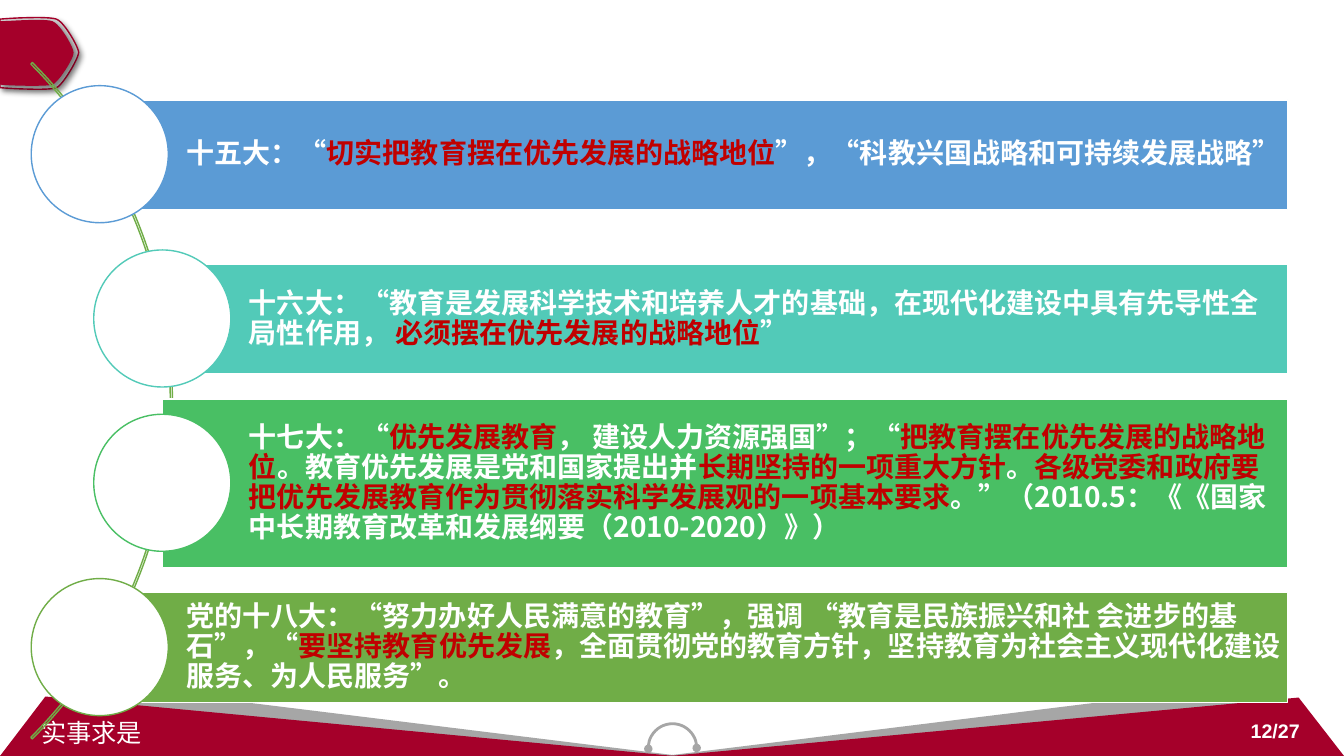
from dataclasses import dataclass
from lxml.etree import SubElement as Sub
from pptx import Presentation
from pptx.dml.color import RGBColor
from pptx.enum.lang import MSO_LANGUAGE_ID as Lang
from pptx.enum.shapes import MSO_SHAPE as Kind
from pptx.enum.text import MSO_ANCHOR as Anchor, PP_ALIGN as Align
from pptx.oxml.ns import qn
from pptx.util import Pt

PX = 9144  # EMU per px, 100 px to the inch
FONT = "Noto Sans CJK SC"
WHITE, RED, WINE, GREY, GREEN = "FFFFFF", "C00000", "A5002A", "A6A6A6", "70AD47"
Point = tuple[int, int]


@dataclass
class Item:
    color: str
    left: int  # left edge of the circle
    high: int  # height of the bar
    text: str  # every second part between | is red


@dataclass
class Tab:
    fill: str
    line: str | None
    start: Point
    curves: list[tuple[Point, Point, Point]]


@dataclass
class Wedge:
    color: str
    points: list[Point]


ITEMS = [
    Item("5B9BD5", 31, 109,
         "十五大：“|切实把教育摆在优先发展的战略地位|”，“科教兴国战略和可持续发展战略”"),
    Item("52CAB8", 93, 109,
         "十六大：“教育是发展科学技术和培养人才的基础，在现代化建设中具有先导性全局性作用， "
         "|必须摆在优先发展的战略地位|”"),
    Item("49BF64", 93, 167,
         "十七大：“|优先发展教育|， 建设人力资源强国”；“|把教育摆在优先发展的战略地位|"
         "。教育优先发展是党和国家提出并|长期坚持的一项重大方针|。|"
         "各级党委和政府要把优先发展教育作为贯彻落实科学发展观的一项基本要求|"
         "。”（2010.5：《《国家中长期教育改革和发展纲要（2010-2020）》）"),
    Item(GREEN, 31, 109,
         "党的十八大：“努力办好人民满意的教育”，强调 “教育是民族振兴和社 会进步的基石”，“"
         "|要坚持教育优先发展|，全面贯彻党的教育方针，坚持教育为社会主义现代化建设服务、为人民服务”。"),
]
TABS = [
    Tab("D0D0D0", WINE, (0, 19), [
        ((11, 18), (47, 16), (56, 19)), ((64, 22), (78, 47), (78, 52)),
        ((78, 58), (62, 85), (56, 87)), ((50, 90), (11, 88), (0, 87))]),
    Tab(WINE, None, (0, 21), [
        ((10, 21), (44, 18), (52, 21)), ((60, 24), (73, 47), (73, 52)),
        ((74, 57), (58, 82), (52, 84)), ((46, 86), (10, 85), (0, 84))]),
]
BACK = [
    Wedge(GREY, [(1333, 750), (1250, 677), (659, 750)]),
    Wedge(GREY, [(0, 750), (83, 677), (675, 750)]),
    Wedge(WINE, [(1333, 750), (1288, 692), (664, 750)]),
]
FRONT = Wedge(WINE, [(0, 750), (45, 691), (669, 750)])

deck = Presentation()
deck.slide_width, deck.slide_height = 1333 * PX, 750 * PX
slide = deck.slides.add_slide(deck.slide_layouts[6])
shapes = slide.shapes


def rgb(color: str) -> RGBColor:
    return RGBColor.from_string(color)


def paint(shape, fill: str | None, line: str | None, width: float = 1):
    shape.shadow.inherit = False
    if fill:
        shape.fill.solid()
        shape.fill.fore_color.rgb = rgb(fill)
    else:
        shape.fill.background()
    if line:
        shape.line.color.rgb = rgb(line)
        shape.line.width = Pt(width)
    else:
        shape.line.fill.background()
    return shape


def add(kind, box: tuple[int, int, int, int], fill, line, width: float = 1):
    return paint(shapes.add_shape(kind, *(v * PX for v in box)), fill, line, width)


def outline(points: list, fill: str, line: str | None = None):
    first, *rest = [(x * PX, y * PX) for x, y in points]
    pen = shapes.build_freeform(*first)
    pen.add_line_segments(rest, close=True)
    return paint(pen.convert_to_shape(), fill, line)


def bend(a: Point, b: Point, c: Point, d: Point, steps: int = 12) -> list:
    ts = [n / steps for n in range(1, steps + 1)]
    return [tuple((1 - t) ** 3 * p + 3 * t * (1 - t) ** 2 * q
                  + 3 * t * t * (1 - t) * r + t ** 3 * s
                  for p, q, r, s in zip(a, b, c, d)) for t in ts]


def shade(shape) -> None:
    effects = shape._element.spPr.find(qn("a:effectLst"))
    outer = Sub(effects, qn("a:outerShdw"), blurRad=str(Pt(4)), dist=str(Pt(3)),
                dir="2700000", algn="tl", rotWithShape="0")
    black = Sub(outer, qn("a:srgbClr"), val="000000")
    Sub(black, qn("a:alpha"), val="40000")


def style(run, size: int, color: str, bold: bool, name: str = FONT) -> None:
    font = run.font
    font.size, font.bold, font.name = Pt(size), bold, name
    font.color.rgb = rgb(color)
    font.language_id = Lang.SIMPLIFIED_CHINESE
    east = Sub(font._element, qn("a:ea"), typeface=name)
    font._element.find(qn("a:latin")).addnext(east)


def label(box: tuple[int, int, int, int], text: str, size: int, name: str,
          bold: bool, align, anchor) -> None:
    frame = shapes.add_textbox(*(v * PX for v in box)).text_frame
    frame.word_wrap = True
    frame.vertical_anchor = anchor
    frame.text = text
    para = frame.paragraphs[0]
    para.alignment = align
    style(para.runs[0], size, WHITE, bold, name)


def bar(item: Item, mid: int) -> None:
    left = item.left + 68
    box = (left, mid - item.high // 2, 1277 - left, item.high)
    frame = add(Kind.RECTANGLE, box, item.color, WHITE).text_frame
    frame.word_wrap = True
    frame.vertical_anchor = Anchor.MIDDLE
    frame.margin_left = 86 * PX
    frame.margin_top = frame.margin_right = frame.margin_bottom = 6 * PX
    para = frame.paragraphs[0]
    para.alignment = Align.LEFT
    para.line_spacing = 0.9
    for n, part in enumerate(item.text.split("|")):
        run = para.add_run()
        run.text = part
        style(run, 20, RED if n % 2 else WHITE, True)
    add(Kind.OVAL, (item.left, mid - 68, 136, 136), WHITE, item.color)


# Corner tab
for tab in TABS:
    points = [tab.start]
    for curve in tab.curves:
        points += bend(points[-1], *curve)
    shade(outline(points, tab.fill, tab.line))

# Footer
for wedge in BACK:
    outline(wedge.points, wedge.color)
arch = add(Kind.ARC, (643, 718, 48, 48), None, GREY, 2)
arch.adjustments[0], arch.adjustments[1] = 106.755, 0
for end in ("a:headEnd", "a:tailEnd"):
    Sub(arch.line._get_or_add_ln(), qn(end), type="oval")
outline(FRONT.points, FRONT.color)
label((31, 707, 171, 40), "实事求是", 18, FONT, False, Align.LEFT, Anchor.TOP)
label((999, 705, 300, 40), "12/27", 14, "Arial", True, Align.RIGHT, Anchor.MIDDLE)

# Arc behind the circles
ring = add(Kind.BLOCK_ARC, (-778, -77, 949, 949), None, GREEN)
for n, value in enumerate((189, 27, 0.00228)):
    ring.adjustments[n] = value

# Bars with circles
for n, item in enumerate(ITEMS):
    bar(item, 153 + 163 * n)

deck.save("out.pptx")
